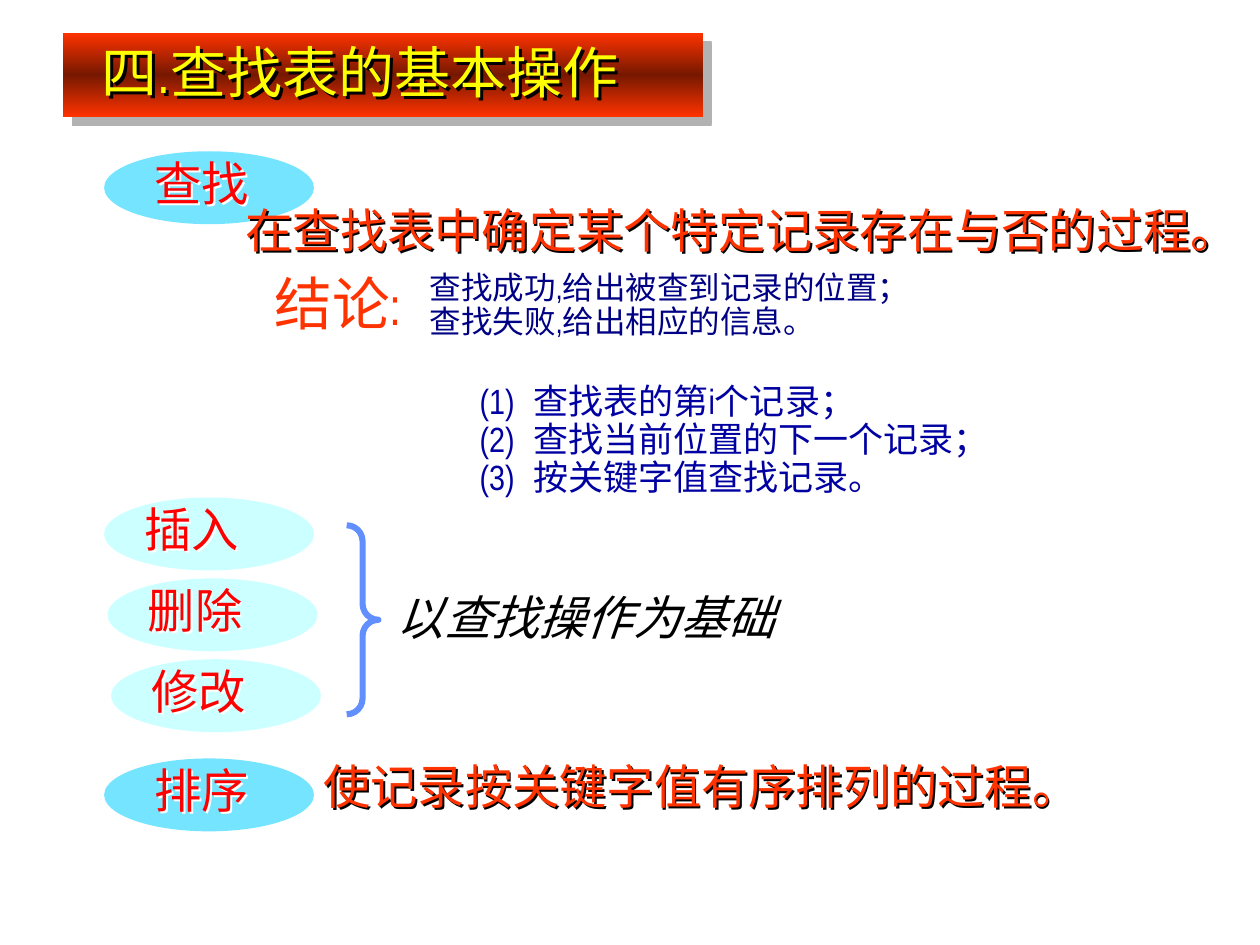
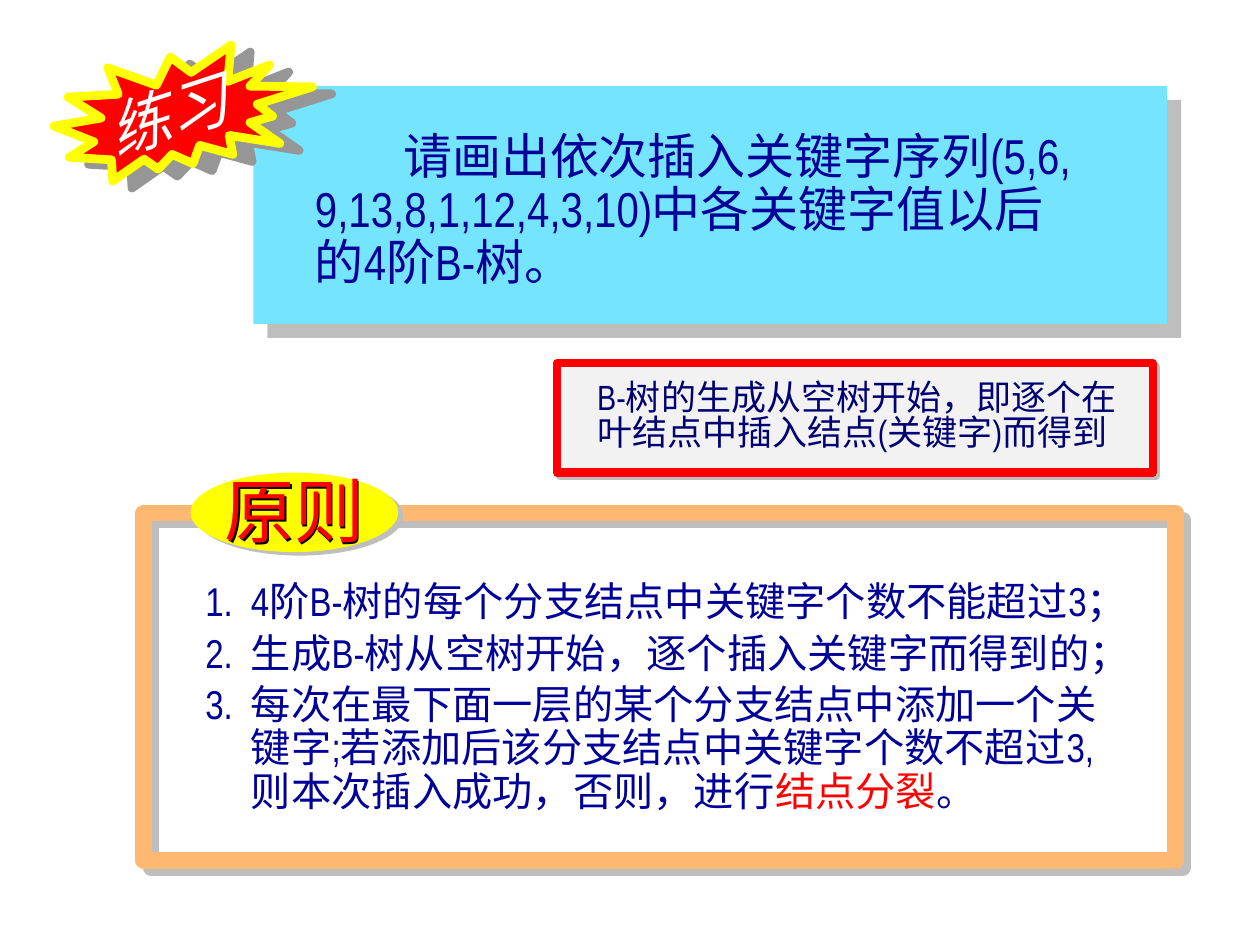
from copy import deepcopy

from lxml import etree
from pptx import Presentation
from pptx import util as u
from pptx.dml.color import RGBColor
from pptx.enum import shapes, text
from pptx.oxml.ns import qn

COLOURS = {
    "cyan": "75E5FF", "pale": "CCFFFF", "red": "FF0000", "orange": "FF3300",
    "maroon": "761800", "yellow": "FFFF00", "white": "FFFFFF", "black": "000000",
    "blue": "000099", "navy": "000084", "ink": "000074", "steps": "0000A2",
    "brace": "618FFD", "peach": "FFB871", "note": "F2F2F2",
    "band_shadow": "B2B2B2", "shadow": "BEBEBE", "seal_shadow": "969696",
}
LATIN, ASIAN = "Arial Narrow", "Noto Sans CJK SC"
SHAPE = shapes.MSO_SHAPE
LABEL_HEIGHT = 1.4
OVAL_SIZE = (4.23, 1.47)


def rgb(name):
    return RGBColor.from_string(COLOURS[name])


def lengths(*values):
    return [u.Cm(value) for value in values]


def cast_shadow(item, colour, distance, angle=45):
    item.shadow.inherit = False
    effects = item._element.spPr.find(qn("a:effectLst"))
    outer = etree.SubElement(effects, qn("a:outerShdw"), dist=str(u.Pt(distance)),
                             dir=str(angle * 60000), algn="ctr", rotWithShape="0")
    etree.SubElement(outer, qn("a:srgbClr"), val=COLOURS[colour])


def draw_shape(page, kind, area, fill=None, line=None, width=1):
    item = page.shapes.add_shape(kind, *lengths(*area))
    item.shadow.inherit = False
    if fill:
        item.fill.solid()
        item.fill.fore_color.rgb = rgb(fill)
    else:
        item.fill.background()
    if line:
        item.line.color.rgb = rgb(line)
        item.line.width = u.Pt(width)
    else:
        item.line.fill.background()
    return item


def style_paragraph(para, size, colour, italic=False, spacing=1.0, hang=0, first=0):
    properties = para._p.get_or_add_pPr()
    if hang or first:
        properties.set("marL", str(u.Cm(hang)))
        properties.set("indent", str(u.Cm(first - hang)))
    para.alignment = text.PP_ALIGN.LEFT
    para.line_spacing = spacing
    para.font.name = LATIN
    para.font.size = u.Pt(size)
    para.font.italic = italic
    para.font.color.rgb = rgb(colour)
    etree.SubElement(para.font._element, qn("a:ea"), typeface=ASIAN)


def write(page, area, lines, size, colour, shadow=None, **style):
    box = page.shapes.add_textbox(*lengths(*area))
    box.text_frame.word_wrap = True
    box.text_frame.text = "\n".join(lines)
    for para in box.text_frame.paragraphs:
        style_paragraph(para, size, colour, **style)
    if shadow:
        cast_shadow(box, shadow, 1.5)
    return box


def numbered(items, pattern):
    return [pattern.format(number) + "\t" + item
            for number, item in enumerate(items, 1)]


def title_band(page, left, top, width, height):
    band = draw_shape(page, SHAPE.RECTANGLE, (left, top, width, height), "orange")
    band.fill.gradient()
    band.fill.gradient_angle = 90
    stop_list = band._element.spPr.find(".//" + qn("a:gsLst"))
    stop_list.append(deepcopy(stop_list[0]))
    for stop, position, colour in zip(band.fill.gradient_stops, (0, 0.5, 1),
                                      ("orange", "maroon", "orange")):
        stop.position = position
        stop.color.rgb = rgb(colour)
    cast_shadow(band, "band_shadow", 7.1)

    title = page.shapes.title
    title.left, title.top, title.width, title.height = lengths(
        left + 0.53, top - 0.03, width, height)
    frame = title.text_frame
    frame.text = "四.查找表的基本操作"
    frame.auto_size = text.MSO_AUTO_SIZE.NONE
    frame.vertical_anchor = text.MSO_ANCHOR.TOP
    style_paragraph(frame.paragraphs[0], 32, "yellow")
    frame.paragraphs[0].space_before = u.Pt(0)
    cast_shadow(title, "black", 2)
    band._element.addnext(title._element)


def operation(page, name, left, top, fill, inset):
    draw_shape(page, SHAPE.OVAL, (left, top, *OVAL_SIZE), fill)
    write(page, (left + inset, top - 0.07, 3.4, LABEL_HEIGHT), [name], 27, "red", "white")


def definition(page, left, top, width, wording):
    write(page, (left, top, width, LABEL_HEIGHT), [wording], 27, "orange", "black")


def conclusion(page, left, top):
    label = write(page, (left, top, 4.2, 1.65), ["结论"], 33, "orange")
    colon = label.text_frame.paragraphs[0].add_run()
    colon.text = ":"
    colon.font.size = u.Pt(30)
    write(page, (left + 3.13, top + 0.08, 15, 2.08),
          ["查找成功,给出被查到记录的位置；", "查找失败,给出相应的信息。"],
          18, "navy", spacing=0.9)


def search_steps(page, left, top):
    steps = ["查找表的第i个记录；", "查找当前位置的下一个记录；", "按关键字值查找记录。"]
    write(page, (left, top, 15.88, 2.57), numbered(steps, "({})"),
          20, "steps", spacing=0.9, hang=1.08)


def dependent_operations(page, left, top):
    for index, name in enumerate(["插入", "删除", "修改"]):
        operation(page, name, left + 0.07 * index, top + 1.63 * index, "pale", 0.56)
    brace = draw_shape(page, SHAPE.RIGHT_BRACE, (left + 4.89, top + 0.56, 0.64, 3.81),
                       line="brace", width=3.5)
    brace.adjustments[0] = brace.adjustments[1] = 0.5
    write(page, (left + 5.65, top + 1.7, 9.17, LABEL_HEIGHT), ["以查找操作为基础"],
          27, "black", italic=True)


def exercise(page, left, top, width, height):
    panel = draw_shape(page, SHAPE.RECTANGLE, (left, top, width, height), "cyan")
    cast_shadow(panel, "shadow", 11.3)
    question = write(page, (left + 0.99, top + 0.81, width - 2.2, 3.45),
                     ["请画出依次插入关键字序列(5,6,",
                      "9,13,8,1,12,4,3,10)中各关键字值以后", "的4阶B-树。"],
                     28, "blue", spacing=0.9)
    opening = question.text_frame.paragraphs[0]
    opening._p.get_or_add_pPr().set("indent", str(u.Cm(1.78)))


def exercise_badge(page, left, top):
    seal = draw_shape(page, SHAPE.EXPLOSION2, (left, top, 5.21, 2.74), "red", "yellow", 5)
    cast_shadow(seal, "seal_shadow", 11.7, 20)
    label = write(page, (left + 0.74, top + 0.2, 5.08, 1.73), ["练习"],
                  35, "white", italic=True)
    label.rotation = 341.8


def hint(page, left, top, width, height):
    card = draw_shape(page, SHAPE.RECTANGLE, (left, top, width, height), "note", "red", 4.75)
    cast_shadow(card, "shadow", 2.8)
    write(page, (left + 0.56, top + 0.25, width + 0.1, 1.7),
          ["B-树的生成从空树开始，即逐个在", "叶结点中插入结点(关键字)而得到"],
          20, "ink", spacing=0.85)


def principles(page, left, top, width, height):
    rules = [
        "4阶B-树的每个分支结点中关键字个数不能超过3；",
        "生成B-树从空树开始，逐个插入关键字而得到的；",
        "每次在最下面一层的某个分支结点中添加一个关\v"
        "键字;若添加后该分支结点中关键字个数不超过3,\v则本次插入成功，否则，进行",
    ]
    listing = write(page, (left + 0.99, top + 1.27, width + 0.2, 5),
                    numbered(rules, "{}."), 23, "blue", spacing=0.9, hang=0.92)
    paragraphs = listing.text_frame.paragraphs
    for para in paragraphs[1:]:
        para.space_before = u.Pt(4.5)
    emphasis = paragraphs[-1].add_run()
    emphasis.text = "结点分裂"
    emphasis.font.color.rgb = rgb("red")
    paragraphs[-1].add_run().text = "。"

    frame = draw_shape(page, SHAPE.RECTANGLE, (left, top, width, height),
                       line="peach", width=9.5)
    cast_shadow(frame, "shadow", 5.7)
    oval = draw_shape(page, SHAPE.OVAL, (left + 0.94, top - 0.81, 4.19, 1.6), "yellow")
    cast_shadow(oval, "shadow", 3.6, 34)
    write(page, (left + 1.37, top - 1.04, 4.04, 1.96), ["原则"], 40, "red", "black")


def operations_slide(deck):
    page = deck.slides.add_slide(deck.slide_layouts[5])
    search_steps(page, 9.42, 7.62)
    operation(page, "查找", 2.1, 3.05, "cyan", 0.76)
    definition(page, 4.7, 3.94, 20.5, "在查找表中确定某个特定记录存在与否的过程。")
    conclusion(page, 5.28, 5.28)
    title_band(page, 1.27, 0.66, 12.9, 1.7)
    definition(page, 6.27, 15.14, 16.15, "使记录按关键字值有序排列的过程。")
    operation(page, "排序", 2.1, 15.29, "cyan", 0.76)
    dependent_operations(page, 2.1, 10.03)


def exercise_slide(deck):
    page = deck.slides.add_slide(deck.slide_layouts[6])
    exercise(page, 5.11, 1.73, 18.42, 4.8)
    principles(page, 2.9, 10.34, 20.8, 7.01)
    exercise_badge(page, 1.09, 0.91)
    hint(page, 11.23, 7.32, 12.01, 2.21)


def main():
    deck = Presentation()
    deck.slide_width, deck.slide_height = lengths(25.4, 19.05)
    operations_slide(deck)
    exercise_slide(deck)
    deck.save("out.pptx")


if __name__ == "__main__":
    main()
